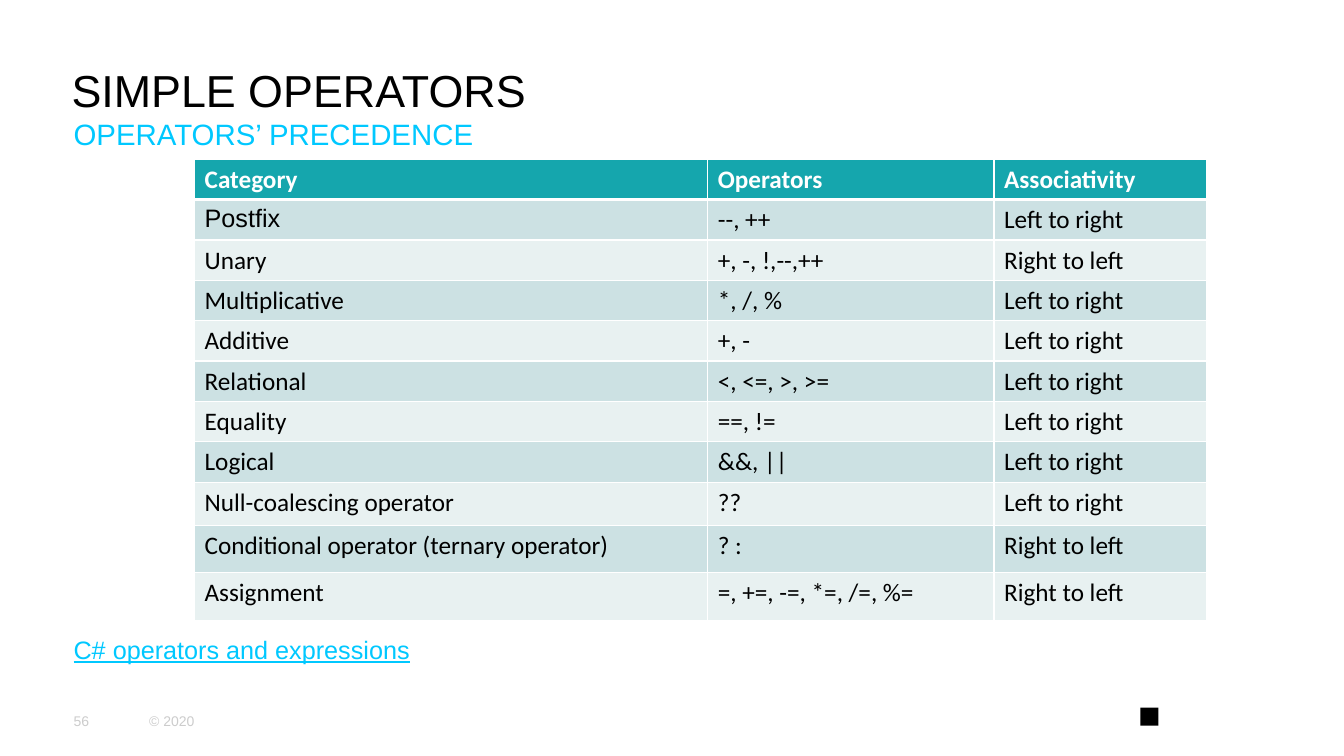
from lxml.etree import SubElement
from pptx import Presentation
from pptx.dml.color import RGBColor
from pptx.enum.shapes import MSO_SHAPE
from pptx.enum.text import MSO_ANCHOR, PP_ALIGN
from pptx.oxml.ns import qn
from pptx.util import Inches, Pt

# Content
TITLE = "SIMPLE OPERATORS"
SUBTITLE = "OPERATORS’ PRECEDENCE"
REFERENCE = "C# operators and expressions"
PAGE_NUMBER = "56"
COPYRIGHT = "© 2020"
LEFT, RIGHT = "Left to right", "Right to left"
PRECEDENCE = [
    ("Category", "Operators", "Associativity"),
    ("Postfix", "--, ++", LEFT),
    ("Unary", "+, -, !,--,++", RIGHT),
    ("Multiplicative", "*, /, %", LEFT),
    ("Additive", "+, -", LEFT),
    ("Relational", "<, <=, >, >=", LEFT),
    ("Equality", "==, !=", LEFT),
    ("Logical", "&&, ||", LEFT),
    ("Null-coalescing operator", "??", LEFT),
    ("Conditional operator (ternary operator)", "? :", RIGHT),
    ("Assignment", "=, +=, -=, *=, /=, %=", RIGHT),
]

# Layout in inches
MARGIN = 0.73
TABLE_LEFT, TABLE_TOP, TABLE_HEIGHT = 1.93, 1.58, 4.57
COLUMN_WIDTHS = [5.09, 2.84, 2.11]
ROW_HEIGHTS = [0.34] * 8 + [0.43, 0.47, 0.47]  # short rows grow to fit their text
FOOTER_TOP, FOOTER_HEIGHT = 6.95, 0.4

# Colours
BLACK = RGBColor(0x00, 0x00, 0x00)
WHITE = RGBColor(0xFF, 0xFF, 0xFF)
CYAN = RGBColor(0x00, 0xC8, 0xFF)
GREY = RGBColor(0xCC, 0xCC, 0xCC)
TEAL = RGBColor(0x15, 0xA6, 0xAD)
BANDS = [RGBColor(0xE8, 0xF1, 0xF1), RGBColor(0xCC, 0xE1, 0xE3)]


def write(frame, text, size, color, font="Arial", bold=False):
    """Fill a text frame with one left-aligned, formatted paragraph."""
    frame.text = text
    para = frame.paragraphs[0]
    para.alignment = PP_ALIGN.LEFT
    span = para.runs[0]
    span.font.name = font
    span.font.size = Pt(size)
    span.font.bold = bold
    span.font.color.rgb = color
    return span


def place(shape, left, top, width, height):
    shape.left, shape.top = Inches(left), Inches(top)
    shape.width, shape.height = Inches(width), Inches(height)


def set_frame(frame, anchor, wrap=True):
    frame.margin_left = frame.margin_right = 0
    frame.margin_top = frame.margin_bottom = 0
    frame.vertical_anchor = anchor
    frame.word_wrap = wrap


def add_label(page, text, bounds, size, color, anchor=MSO_ANCHOR.TOP, wrap=True):
    box = page.shapes.add_textbox(*map(Inches, bounds))
    set_frame(box.text_frame, anchor, wrap)
    return write(box.text_frame, text, size, color)


def add_borders(cell, bottom):
    """Draw white cell borders; called before the fill, which follows them."""
    properties = cell._tc.get_or_add_tcPr()
    for side, points in [("L", 1), ("R", 1), ("T", 1), ("B", bottom)]:
        line = SubElement(properties, qn(f"a:ln{side}"), w=str(Pt(points)))
        fill = SubElement(line, qn("a:solidFill"))
        SubElement(fill, qn("a:srgbClr"), val=str(WHITE))


def add_precedence_table(page):
    frame = page.shapes.add_table(
        len(PRECEDENCE), len(COLUMN_WIDTHS), Inches(TABLE_LEFT), Inches(TABLE_TOP),
        Inches(sum(COLUMN_WIDTHS)), Inches(TABLE_HEIGHT))
    table = frame.table
    for column, width in zip(table.columns, COLUMN_WIDTHS):
        column.width = Inches(width)
    for row, height in zip(table.rows, ROW_HEIGHTS):
        row.height = Inches(height)
    frame.height = Inches(TABLE_HEIGHT)
    for row_index, texts in enumerate(PRECEDENCE):
        header = row_index == 0
        for column_index, text in enumerate(texts):
            cell = table.cell(row_index, column_index)
            if header:
                add_borders(cell, bottom=3)
            cell.fill.solid()
            cell.fill.fore_color.rgb = TEAL if header else BANDS[row_index % 2]
            font = "Arial" if text == "Postfix" else "Calibri"
            write(cell.text_frame, text, 18, WHITE if header else BLACK, font, header)


def main():
    deck = Presentation()
    deck.slide_width, deck.slide_height = Inches(13.33), Inches(7.5)
    page = deck.slides.add_slide(deck.slide_layouts[5])

    # Headings
    title = page.shapes.title
    place(title, 0.71, 0.01, 11.9, 1.15)
    set_frame(title.text_frame, MSO_ANCHOR.BOTTOM)
    write(title.text_frame, TITLE, 32, BLACK)
    add_label(page, SUBTITLE, (MARGIN, 1.15, 11.87, 0.44), 21, CYAN)

    # Table and reference below it
    add_precedence_table(page)
    reference = add_label(page, REFERENCE, (MARGIN, 6.29, 3.43, 0.44), 18, CYAN, wrap=False)
    reference.font.underline = True

    # Footer
    for text, left, width in [(PAGE_NUMBER, MARGIN, 0.74), (COPYRIGHT, 1.48, 1.08)]:
        add_label(page, text, (left, FOOTER_TOP, width, FOOTER_HEIGHT), 10, GREY,
                  MSO_ANCHOR.MIDDLE)
    badge = page.shapes.add_shape(MSO_SHAPE.RECTANGLE, 0, 0, 0, 0)
    place(badge, 11.31, 7.02, 0.18, 0.18)
    badge.shadow.inherit = False
    badge.fill.solid()
    badge.fill.fore_color.rgb = BLACK
    badge.line.fill.background()

    deck.save("out.pptx")


if __name__ == "__main__":
    main()
